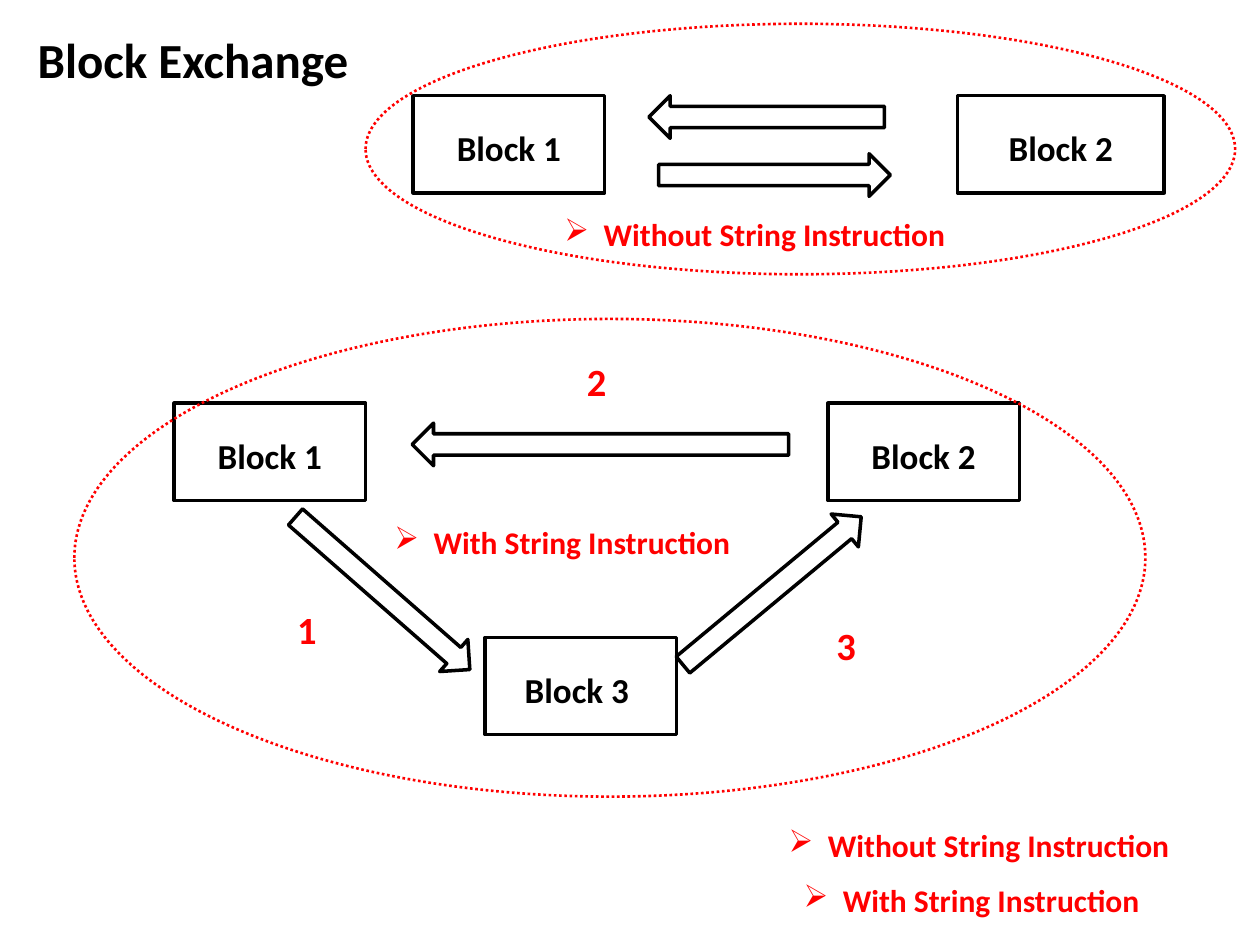
"""Build the Block Exchange slide comparing exchange with and without string instructions."""
from lxml.etree import SubElement
from pptx import Presentation
from pptx.dml.color import RGBColor
from pptx.enum.dml import MSO_LINE as Dash
from pptx.enum.shapes import MSO_SHAPE as Shape
from pptx.enum.text import MSO_ANCHOR as Anchor, MSO_AUTO_SIZE as AutoSize, PP_ALIGN as Align
from pptx.oxml.ns import qn
from pptx.util import Cm, Pt

BLACK = RGBColor(0x00, 0x00, 0x00)
RED = RGBColor(0xFF, 0x00, 0x00)
WHITE = RGBColor(0xFF, 0xFF, 0xFF)

BLOCK_WIDTH, BLOCK_HEIGHT = 3.86, 1.96
ARROW_HEIGHT = 0.86
HANG = Cm(0.79)


def write_text(owner, text, size=20, color=BLACK, align=Align.LEFT,
               anchor=Anchor.TOP, spaced=True, bullet=None):
    frame = owner.text_frame
    frame.word_wrap = True
    frame.vertical_anchor = anchor
    paragraph = frame.paragraphs[0]
    paragraph.alignment = align
    if spaced:
        paragraph.line_spacing = 1.15
        paragraph.space_after = Pt(10)
    if bullet:
        properties = paragraph._p.get_or_add_pPr()
        properties.set("marL", str(HANG))
        properties.set("indent", str(-HANG))
        SubElement(properties, qn("a:buChar")).set("char", bullet)
    run = paragraph.add_run()
    run.text = text
    font = run.font
    font.name, font.size, font.bold = "Calibri", Pt(size), True
    font.color.rgb = color


def add_figure(slide, kind, left, top, width, height, line=BLACK, weight=2):
    figure = slide.shapes.add_shape(kind, Cm(left), Cm(top), Cm(width), Cm(height))
    figure.shadow.inherit = False
    figure.fill.background()
    if line is None:
        figure.line.fill.background()
    else:
        figure.line.color.rgb = line
        figure.line.width = Pt(weight)
    return figure


def add_block(slide, name, left, top, width=BLOCK_WIDTH):
    block = add_figure(slide, Shape.RECTANGLE, left, top, width, BLOCK_HEIGHT)
    write_text(block, name, align=Align.CENTER, anchor=Anchor.MIDDLE)


def add_arrow(slide, kind, left, top, width, angle=0):
    arrow = add_figure(slide, kind, left, top, width, ARROW_HEIGHT)
    arrow.rotation = angle


def add_step(slide, number, left, top):
    step = add_figure(slide, Shape.RECTANGLE, left, top, 0.99, 1.17, line=None)
    step.fill.solid()
    step.fill.fore_color.rgb = WHITE
    write_text(step, number, size=22, color=RED)


def add_label(slide, text, left, top, width, height, **style):
    label = slide.shapes.add_textbox(Cm(left), Cm(top), Cm(width), Cm(height))
    label.text_frame.auto_size = AutoSize.SHAPE_TO_FIT_TEXT
    write_text(label, text, **style)


def add_method(slide, text, left, top):
    add_label(slide, text, left, top, 9.3, 1.12, size=18, color=RED, bullet="➢")


def add_boundary(slide, left, top, width, height):
    boundary = add_figure(slide, Shape.OVAL, left, top, width, height, RED, 1.5)
    boundary.line.dash_style = Dash.ROUND_DOT


def main():
    deck = Presentation()
    deck.slide_width, deck.slide_height = Cm(25.4), Cm(19.05)
    slide = deck.slides.add_slide(deck.slide_layouts[6])

    add_label(slide, "Block Exchange", 0.51, 0.48, 17.81, 1.45, size=28, spaced=False)

    add_block(slide, "Block 1", 8.33, 1.93)
    add_block(slide, "Block 2", 19.3, 1.93, width=4.17)
    add_arrow(slide, Shape.LEFT_ARROW, 13.08, 1.93, 4.75)
    add_arrow(slide, Shape.RIGHT_ARROW, 13.28, 3.1, 4.67)

    add_block(slide, "Block 1", 3.51, 8.13)
    add_block(slide, "Block 2", 16.69, 8.13)
    add_block(slide, "Block 3 ", 9.78, 12.85)
    add_arrow(slide, Shape.RIGHT_ARROW, 5.38, 11.53, 4.67, angle=41.2)
    add_arrow(slide, Shape.LEFT_ARROW, 8.31, 8.53, 7.59)
    add_arrow(slide, Shape.RIGHT_ARROW, 13.23, 11.48, 4.67, angle=320.3)
    add_step(slide, "1", 5.74, 11.96)
    add_step(slide, "2", 11.58, 6.96)
    add_step(slide, "3", 16.61, 12.27)

    without_string, with_string = "Without String Instruction", "With String Instruction"
    add_method(slide, without_string, 15.65, 16.41)
    add_method(slide, with_string, 15.95, 17.53)
    add_boundary(slide, 7.37, 0.48, 17.53, 5.05)
    add_method(slide, without_string, 11.13, 4.09)
    add_boundary(slide, 1.5, 6.43, 21.59, 9.63)
    add_method(slide, with_string, 7.7, 10.31)

    deck.save("out.pptx")


if __name__ == "__main__":
    main()
